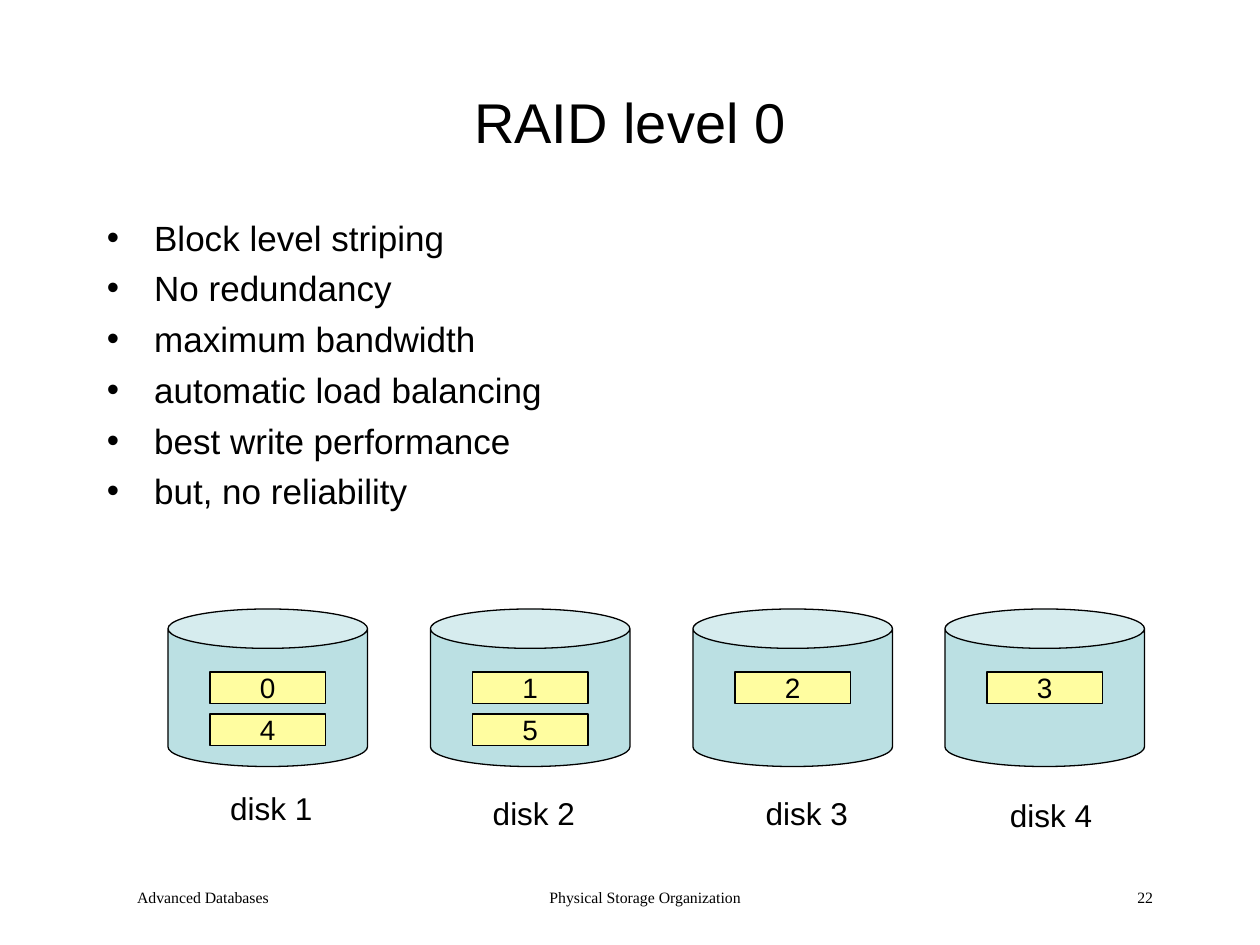
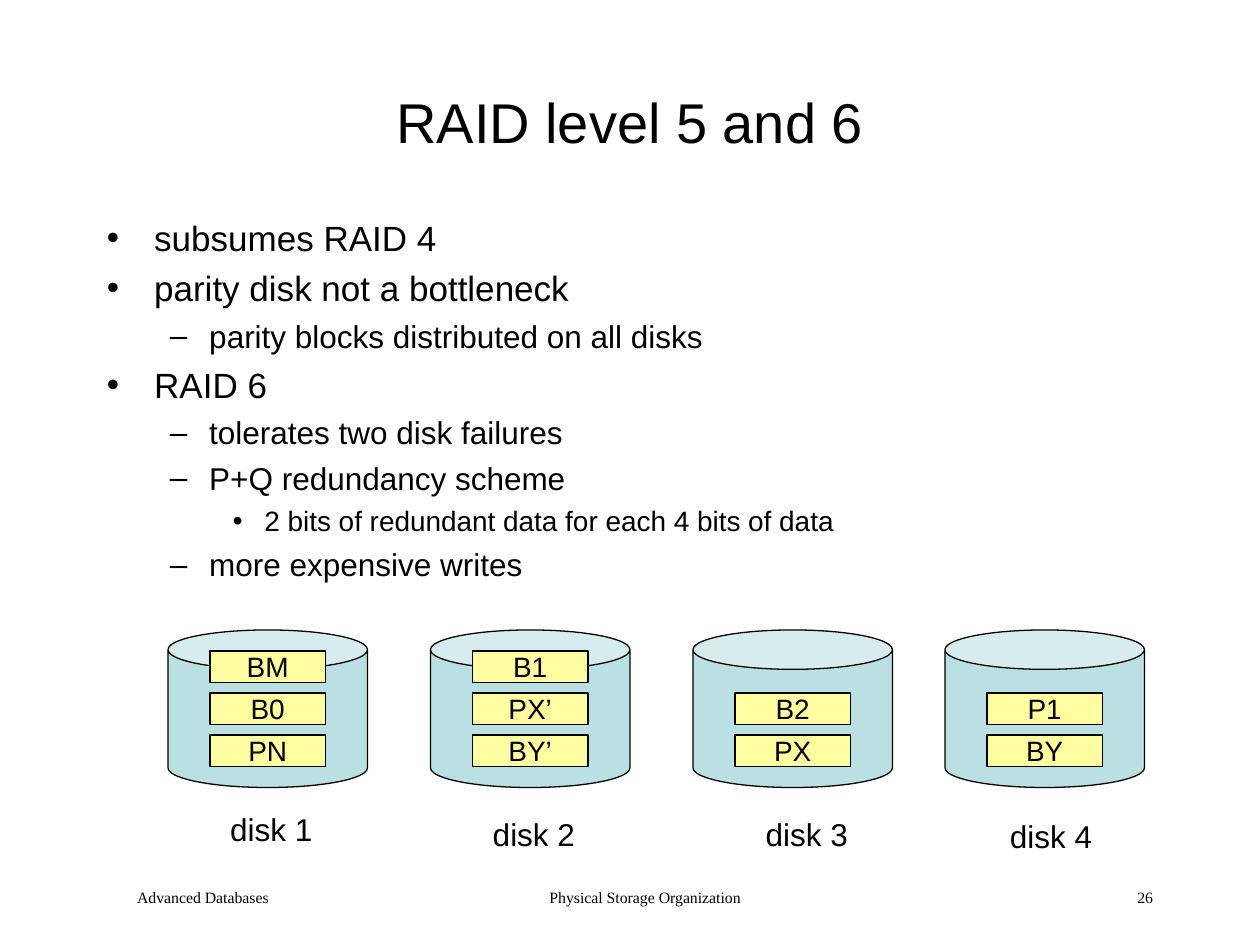
from dataclasses import dataclass

from lxml import etree
from pptx import Presentation
from pptx.dml.color import RGBColor
from pptx.enum import shapes, text
from pptx.oxml import ns
from pptx.util import Pt

# Shared style
BLACK, DISK_FILL, BLOCK_FILL = "000000", "BBE0E3", "FFFDA0"
SANS, SERIF = "Arial", "Times New Roman"
LEFT, CENTER, RIGHT = text.PP_ALIGN.LEFT, text.PP_ALIGN.CENTER, text.PP_ALIGN.RIGHT
TITLE_ONLY = 5

# Disk geometry
DISK_W, DISK_H = 114, 90
BLOCK_W, BLOCK_H, BLOCK_PITCH = 66, 18, 24
BLOCK_DX, BLOCK_DY = 24, 12
LABEL_W, LABEL_H = 66, 29


@dataclass(frozen=True)
class Box:
    left: float
    top: float
    width: float
    height: float

    def points(self) -> tuple:
        return Pt(self.left), Pt(self.top), Pt(self.width), Pt(self.height)


@dataclass(frozen=True)
class Level:
    size: float
    margin: float
    hanging: float
    bullet: str


@dataclass(frozen=True)
class Disk:
    left: float
    label_dx: float
    label_dy: float


@dataclass(frozen=True)
class RaidSlide:
    title: str
    number: int
    bullets: tuple  # (level, text)
    disk_top: float
    blocks: tuple  # one row per slot, one entry per disk, "" where free


TITLE_BOX = Box(54, 24, 612, 90)
BODY_BOX = Box(54, 120, 612, 372)
LEVELS = (Level(20, 27, 27, "•"), Level(18, 58.5, 22.5, "–"), Level(16, 90, 18, "•"))
DISKS = (Disk(96, 28.5, 99.5), Disk(246, 28.5, 102),
         Disk(396, 34.5, 102), Disk(540, 30, 103.5))

SLIDES = (
    RaidSlide(
        "RAID level 0", 22,
        ((0, "Block level striping"), (0, "No redundancy"), (0, "maximum bandwidth"),
         (0, "automatic load balancing"), (0, "best write performance"),
         (0, "but, no reliability")),
        348,
        (("", "", "", ""), ("0", "1", "2", "3"), ("4", "5", "", "")),
    ),
    RaidSlide(
        "RAID level 5 and 6", 26,
        ((0, "subsumes RAID 4"), (0, "parity disk not a bottleneck"),
         (1, "parity blocks distributed on all disks"), (0, "RAID 6"),
         (1, "tolerates two disk failures"), (1, "P+Q redundancy scheme"),
         (2, "2 bits of redundant data for each 4 bits of data"),
         (1, "more expensive writes")),
        360,
        (("BM", "B1", "", ""), ("B0", "PX’", "B2", "P1"), ("PN", "BY’", "PX", "BY")),
    ),
)


def color(hex_code: str) -> RGBColor:
    return RGBColor.from_string(hex_code)


def style(p, size: float, align=LEFT, font: str = SANS) -> None:
    p.alignment = align
    p.font.size = Pt(size)
    p.font.name = font
    p.font.color.rgb = color(BLACK)


def add_text(slide, box: Box, words: str, size: float, align=LEFT, font: str = SANS):
    tf = slide.shapes.add_textbox(*box.points()).text_frame
    tf.word_wrap = True
    p = tf.paragraphs[0]
    p.text = words
    style(p, size, align, font)
    return p


def add_solid(slide, kind, box: Box, fill: str):
    sp = slide.shapes.add_shape(kind, *box.points())
    sp.shadow.inherit = False
    sp.fill.solid()
    sp.fill.fore_color.rgb = color(fill)
    sp.line.color.rgb = color(BLACK)
    sp.line.width = Pt(0.75)
    return sp


def set_indent(p, margin: float, hanging: float = 0):
    props = p._p.get_or_add_pPr()
    props.set("marL", str(Pt(margin)))
    props.set("indent", str(-Pt(hanging)))
    return props


def add_title(slide, words: str) -> None:
    sp = slide.shapes.title
    sp.left, sp.top, sp.width, sp.height = TITLE_BOX.points()
    tf = sp.text_frame
    tf.text = words
    tf.auto_size = text.MSO_AUTO_SIZE.NONE
    tf.vertical_anchor = text.MSO_ANCHOR.MIDDLE
    style(tf.paragraphs[0], 32, CENTER)


def add_bullets(slide, bullets: tuple) -> None:
    tf = slide.shapes.add_textbox(*BODY_BOX.points()).text_frame
    tf.word_wrap = True
    for i, (depth, words) in enumerate(bullets):
        p = tf.add_paragraph() if i else tf.paragraphs[0]
        level = LEVELS[depth]
        p.text = words
        p.level = depth
        p.space_before = Pt(level.size / 4)
        props = set_indent(p, level.margin, level.hanging)
        etree.SubElement(props, ns.qn("a:buFont"), typeface=SANS)
        etree.SubElement(props, ns.qn("a:buChar"), char=level.bullet)
        style(p, level.size)


def add_block(slide, box: Box, words: str) -> None:
    tf = add_solid(slide, shapes.MSO_SHAPE.RECTANGLE, box, BLOCK_FILL).text_frame
    tf.word_wrap = False
    tf.vertical_anchor = text.MSO_ANCHOR.MIDDLE
    tf.text = words
    style(tf.paragraphs[0], 16, CENTER)


def add_disk(slide, disk: Disk, top: float, name: str, blocks: tuple) -> None:
    can = add_solid(slide, shapes.MSO_SHAPE.CAN,
                    Box(disk.left, top, DISK_W, DISK_H), DISK_FILL)
    can.adjustments[0] = 0.25
    for slot, words in enumerate(blocks):
        if words:
            y = top + BLOCK_DY + slot * BLOCK_PITCH
            add_block(slide, Box(disk.left + BLOCK_DX, y, BLOCK_W, BLOCK_H), words)
    label = Box(disk.left + disk.label_dx, top + disk.label_dy, LABEL_W, LABEL_H)
    add_text(slide, label, name, 18)


def add_footer(slide, number: int) -> None:
    for left, width, words, align in (
        (54, 150, "Advanced Databases", LEFT),
        (246, 228, "Physical Storage Organization", CENTER),
        (516, 150, str(number), RIGHT),
    ):
        p = add_text(slide, Box(left, 504, width, 24), words, 9, align, SERIF)
        set_indent(p, 17.25)


def main() -> None:
    prs = Presentation()
    prs.slide_width, prs.slide_height = Pt(720), Pt(540)
    for content in SLIDES:
        slide = prs.slides.add_slide(prs.slide_layouts[TITLE_ONLY])
        add_title(slide, content.title)
        add_bullets(slide, content.bullets)
        for i, (disk, blocks) in enumerate(zip(DISKS, zip(*content.blocks)), 1):
            add_disk(slide, disk, content.disk_top, f"disk {i}", blocks)
        add_footer(slide, content.number)
    prs.save("out.pptx")


if __name__ == "__main__":
    main()
